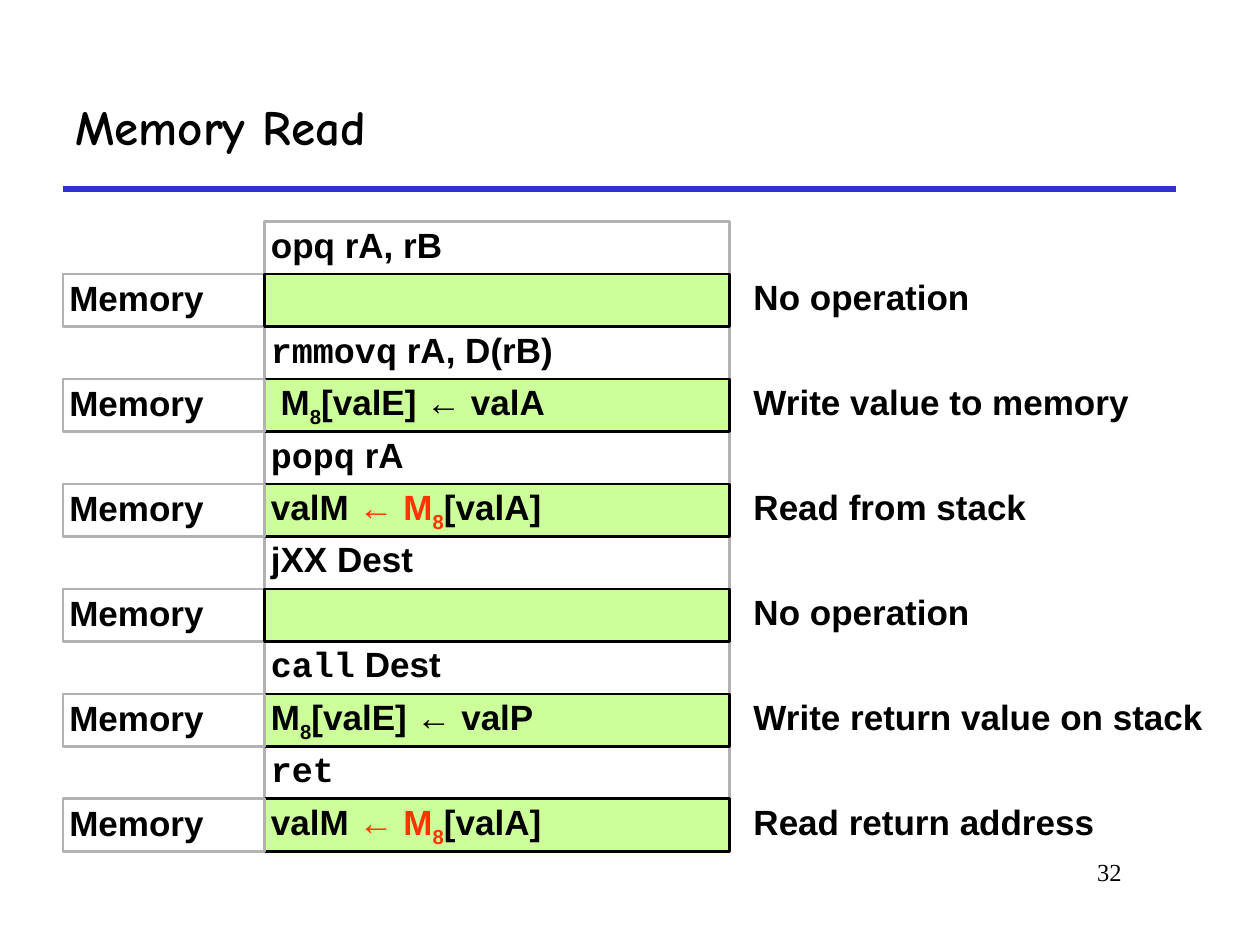
from lxml.etree import SubElement
from pptx import Presentation
from pptx.dml.color import RGBColor
from pptx.enum.shapes import MSO_CONNECTOR, MSO_SHAPE
from pptx.enum.text import MSO_ANCHOR, PP_ALIGN
from pptx.oxml.ns import qn
from pptx.util import Inches, Pt

COLORS = {"text": "000000", "rule": "3333CC", "grid": "B2B2B2",
          "active": "CCFF99", "read": "FF3300"}
BODY, CODE = "Arial", "Courier New"

READ_STACK = [("valM ", "text"), ("← M", "read"), ("8", "read", "sub"), ("[valA]", "text")]
STAGES = [
    ([("opq rA, rB", BODY)], [], "No operation"),
    ([("rmmovq", CODE), (" rA, D(rB)", BODY)],
     [(" M", "text"), ("8", "text", "sub"), ("[valE] ← valA", "text")],
     "Write value to memory"),
    ([("popq", CODE), (" rA", BODY)], READ_STACK, "Read from stack"),
    ([("jXX Dest", BODY)], [], "No operation"),
    ([("call", CODE), (" Dest", BODY)],
     [("M", "text"), ("8", "text", "sub"), ("[valE] ← valP", "text")],
     "Write return value on stack"),
    ([("ret", CODE)], READ_STACK, "Read return address"),
]

TOP, LAST_TOP = 1.76, 6.34
ROW = (LAST_TOP - TOP) / (2 * len(STAGES) - 1)
LABEL_LEFT, LABEL_WIDTH = 0.5, 1.6
CELL_LEFT, CELL_WIDTH = LABEL_LEFT + LABEL_WIDTH, 3.69
NOTE_LEFT = 5.93


def color(name):
    return RGBColor.from_string(COLORS[name])


def add_span(paragraph, text, font=BODY, size=20, tint="text", bold=True):
    span = paragraph.add_run()
    span.text = text
    span.font.name = font
    span.font.size = Pt(size)
    span.font.bold = bold
    span.font.color.rgb = color(tint)
    return span


def set_up_text(box, anchor=MSO_ANCHOR.TOP, margin=0.05, spacing=0.9):
    frame = box.text_frame
    frame.word_wrap = True
    frame.vertical_anchor = anchor
    frame.margin_left = frame.margin_right = Inches(margin)
    frame.margin_top = frame.margin_bottom = Inches(0.05)
    paragraph = frame.paragraphs[0]
    paragraph.alignment = PP_ALIGN.LEFT
    paragraph.line_spacing = spacing
    return paragraph


def add_text_box(page, left, top, width, height):
    return page.shapes.add_textbox(Inches(left), Inches(top), Inches(width), Inches(height))


def add_cell(page, left, top, width, line="grid", fill=None):
    cell = page.shapes.add_shape(MSO_SHAPE.RECTANGLE, Inches(left), Inches(top),
                                 Inches(width), Inches(ROW))
    cell.shadow.inherit = False
    cell.line.color.rgb = color(line)
    cell.line.width = Pt(1.5)
    if fill:
        cell.fill.solid()
        cell.fill.fore_color.rgb = color(fill)
    else:
        cell.fill.background()
    return cell


def add_label(page, top):
    cell = add_cell(page, LABEL_LEFT, top, LABEL_WIDTH)
    add_span(set_up_text(cell, MSO_ANCHOR.MIDDLE), "Memory")


def add_operation(page, top, operation):
    cell = add_cell(page, CELL_LEFT, top, CELL_WIDTH, "text", "active")
    paragraph = set_up_text(cell, spacing=0.8)
    for text, tint, *subscript in operation:
        span = add_span(paragraph, text, tint=tint)
        if subscript:
            span.font._element.set("baseline", "-25000")


def main():
    deck = Presentation()
    deck.slide_width, deck.slide_height = Inches(10), Inches(7.5)
    page = deck.slides.add_slide(deck.slide_layouts[6])

    rule = page.shapes.add_connector(MSO_CONNECTOR.STRAIGHT, Inches(0.5), Inches(1.5),
                                     Inches(9.33), Inches(1.5))
    rule.line.color.rgb = color("rule")
    rule.line.width = Pt(3)
    SubElement(rule._element.spPr, qn("a:effectLst"))

    number = set_up_text(add_text_box(page, 7.58, 6.75, 1.42, 0.5), margin=0.1, spacing=1)
    number.alignment = PP_ALIGN.RIGHT
    add_span(number, "32", "Times New Roman", 14, bold=False)

    title = add_text_box(page, 0.5, 0.5, 8.83, 1)
    add_span(set_up_text(title, MSO_ANCHOR.MIDDLE, 0.1, 1), "Memory Read", "Comic Neue", 28)

    for index, (instruction, _, _) in enumerate(STAGES):
        cell = add_cell(page, CELL_LEFT, TOP + 2 * index * ROW, CELL_WIDTH)
        paragraph = set_up_text(cell)
        for text, font in instruction:
            add_span(paragraph, text, font)

    for index, (_, operation, note) in enumerate(STAGES):
        top = TOP + (2 * index + 1) * ROW
        if operation:
            add_operation(page, top, operation)
            add_label(page, top)
        else:
            add_label(page, top)
            add_operation(page, top, operation)
        add_span(set_up_text(add_text_box(page, NOTE_LEFT, top, CELL_WIDTH, ROW)), note)

    deck.save("out.pptx")


if __name__ == "__main__":
    main()
